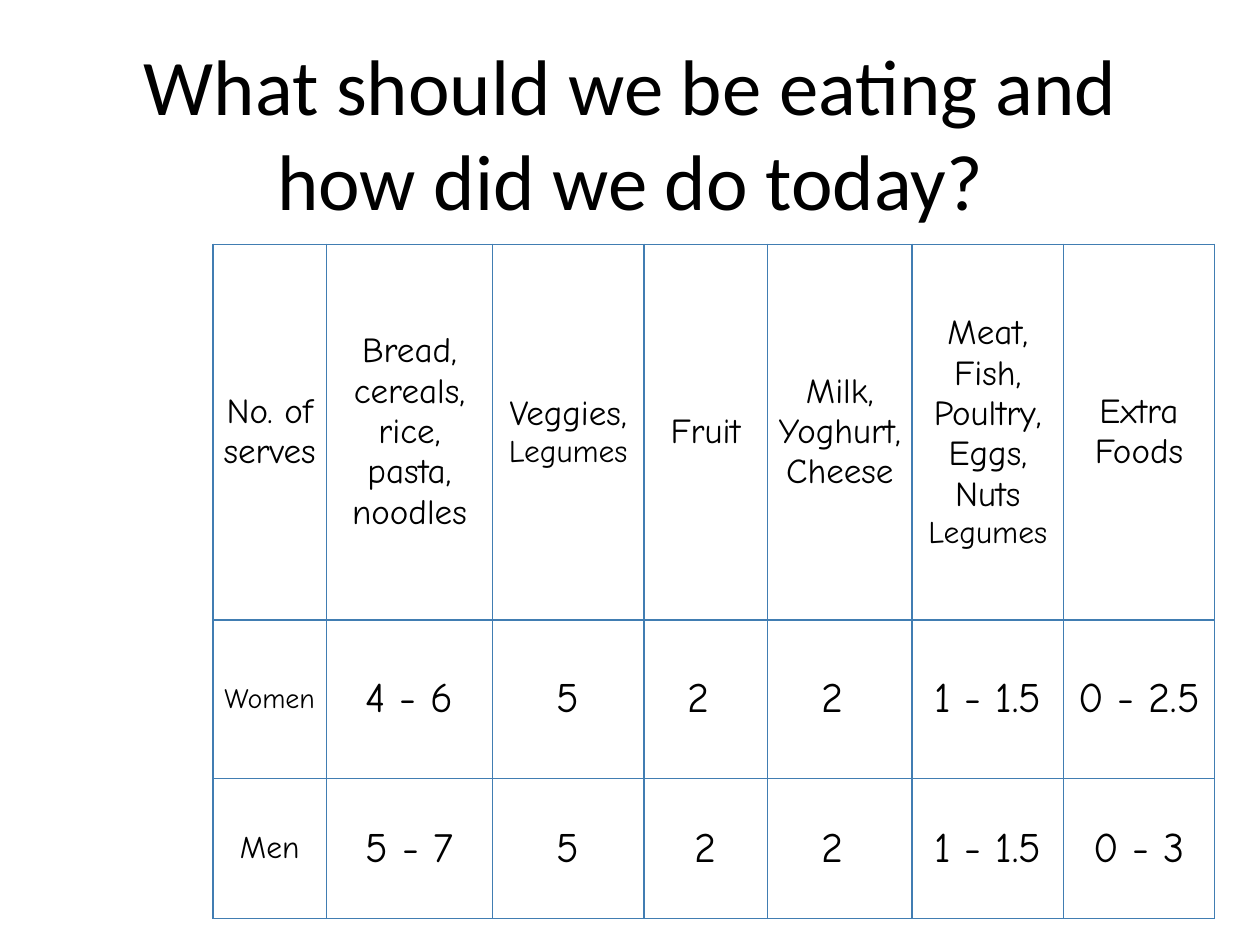
from lxml import etree
from pptx import Presentation, util as u
from pptx.dml.color import RGBColor
from pptx.enum import text
from pptx.oxml import ns

COLORS = {"ink": "000000", "rule": "417DB2"}
RULE_WIDTH = 0.96
COLUMNS = [0.9, 1.32, 1.2, 0.98, 1.15, 1.2, 1.2]
ROWS = [2.98, 1.26, 1.11]
INSETS = {"margin_left": 0.04, "margin_right": 0.04,
          "margin_top": 0.05, "margin_bottom": 0.05}

# Each cell is a list of paragraphs; each paragraph is a list of (words, size).
HEADINGS = [
    [[("No. of serves", 20)]],
    [[("Bread, cereals, rice, pasta, noodles", 20)]],
    [[("Veggies, ", 20), ("Legumes", 18)]],
    [[("Fruit", 20)]],
    [[("Milk, Yoghurt, Cheese", 20)]],
    [[("Meat, Fish, Poultry, Eggs, Nuts", 20)], [("Legumes", 18)]],
    [[("Extra Foods", 20)]],
]
SERVES = [
    (("Women", 16), ["4 - 6", "5", "2 ", "2 ", "1 - 1.5", "0 - 2.5"]),
    (("Men", 18), ["5 - 7", "5", "2", "2 ", "1 - 1.5", "0 - 3"]),
]


def set_all(target, values):
    for name, value in values.items():
        setattr(target, name, value)


def write(frame, paragraphs, font):
    for index, spans in enumerate(paragraphs):
        para = frame.paragraphs[0] if index == 0 else frame.add_paragraph()
        para.alignment = text.PP_ALIGN.CENTER
        for words, size in spans:
            span = para.add_run()
            span.text = words
            set_all(span.font, {"name": font, "size": u.Pt(size)})
            span.font.color.rgb = RGBColor.from_string(COLORS["ink"])


def rule_cell(cell):
    """Draw a line on all four sides of a cell."""
    properties = cell._tc.get_or_add_tcPr()
    for index, side in enumerate(("lnL", "lnR", "lnT", "lnB")):
        line = etree.Element(ns.qn(f"a:{side}"), w=str(u.Pt(RULE_WIDTH)))
        fill = etree.SubElement(line, ns.qn("a:solidFill"))
        etree.SubElement(fill, ns.qn("a:srgbClr"), val=COLORS["rule"])
        properties.insert(index, line)


def place(box):
    return [u.Inches(length) for length in box]


def add_title(page, box):
    title = page.shapes.title
    set_all(title, dict(zip(("left", "top", "width", "height"), place(box))))
    set_all(title.text_frame, {
        "word_wrap": True,
        "auto_size": text.MSO_AUTO_SIZE.NONE,
        "vertical_anchor": text.MSO_ANCHOR.MIDDLE,
    })
    question = "What should we be eating and how did we do today?"
    write(title.text_frame, [[(question, 45)]], "Calibri")


def add_serves_table(page, left, top):
    box = (left, top, sum(COLUMNS), sum(ROWS))
    table = page.shapes.add_table(len(ROWS), len(COLUMNS), *place(box)).table
    set_all(table, {"first_row": False, "horz_banding": False})
    for column, width in zip(table.columns, COLUMNS):
        column.width = u.Inches(width)
    for row, height in zip(table.rows, ROWS):
        row.height = u.Inches(height)

    contents = [HEADINGS]
    for label, amounts in SERVES:
        contents.append([[[label]]] + [[[(amount, 24)]] for amount in amounts])
    for row, entries in zip(table.rows, contents):
        for cell, paragraphs in zip(row.cells, entries):
            set_all(cell, {name: u.Inches(size) for name, size in INSETS.items()})
            cell.vertical_anchor = text.MSO_ANCHOR.MIDDLE
            cell.fill.background()
            rule_cell(cell)
            write(cell.text_frame, paragraphs, "Comic Neue")


def main():
    deck = Presentation()
    set_all(deck, {"slide_width": u.Inches(10), "slide_height": u.Inches(7.5)})
    page = deck.slides.add_slide(deck.slide_layouts.get_by_name("Title Only"))
    add_title(page, (0.75, 0.42, 8.5, 1.25))
    add_serves_table(page, 1.69, 1.94)
    deck.save("out.pptx")


if __name__ == "__main__":
    main()
